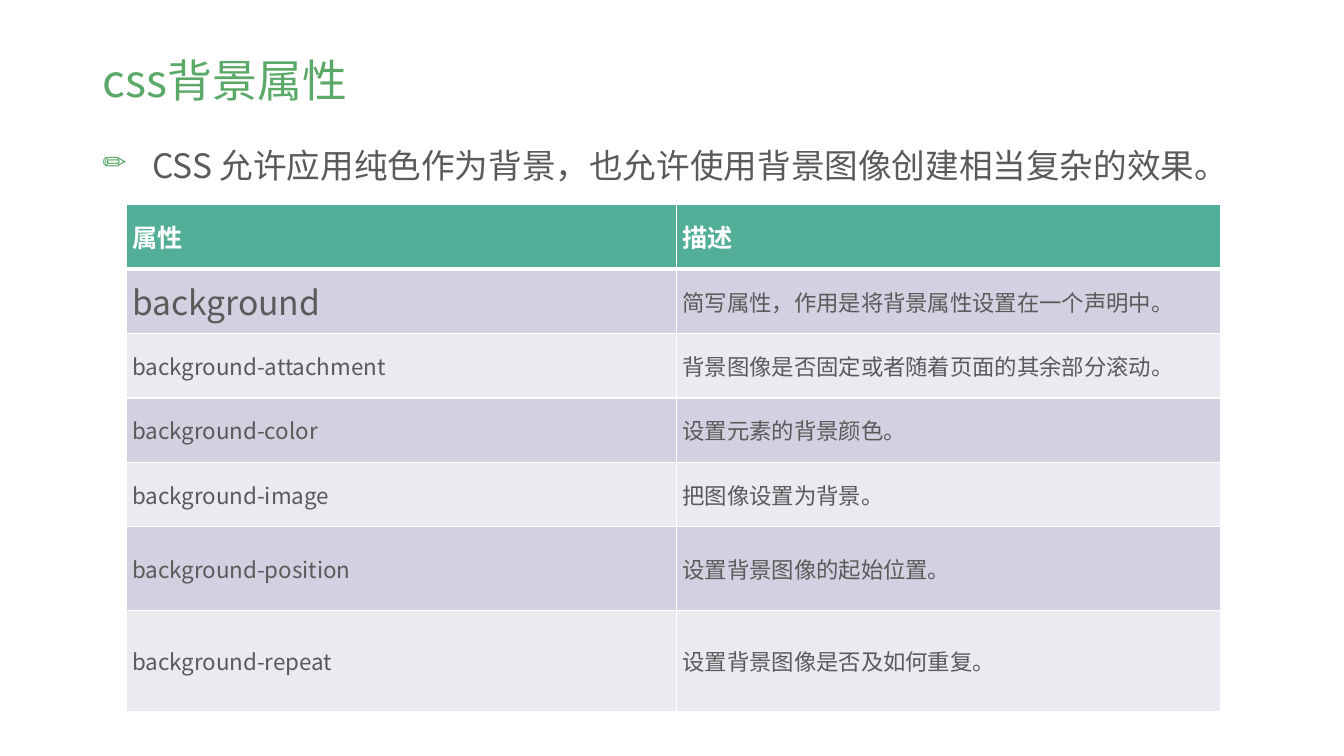
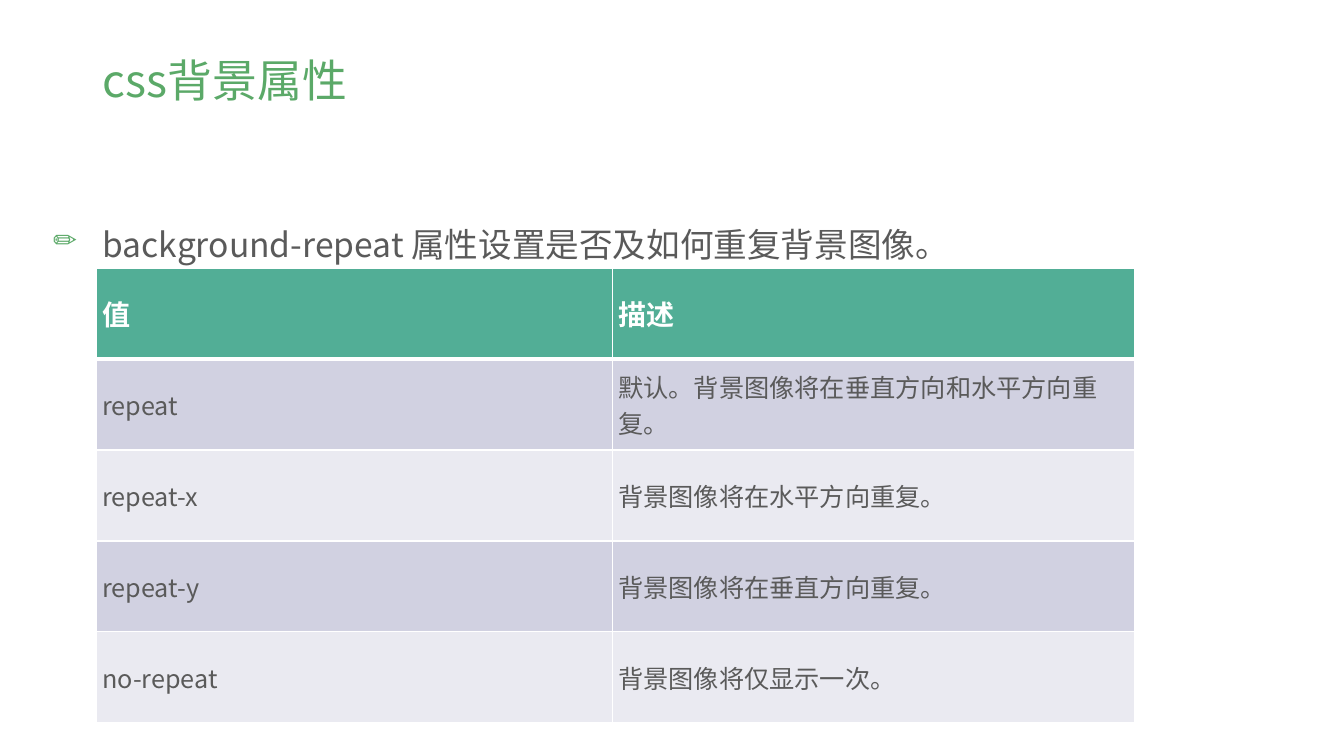
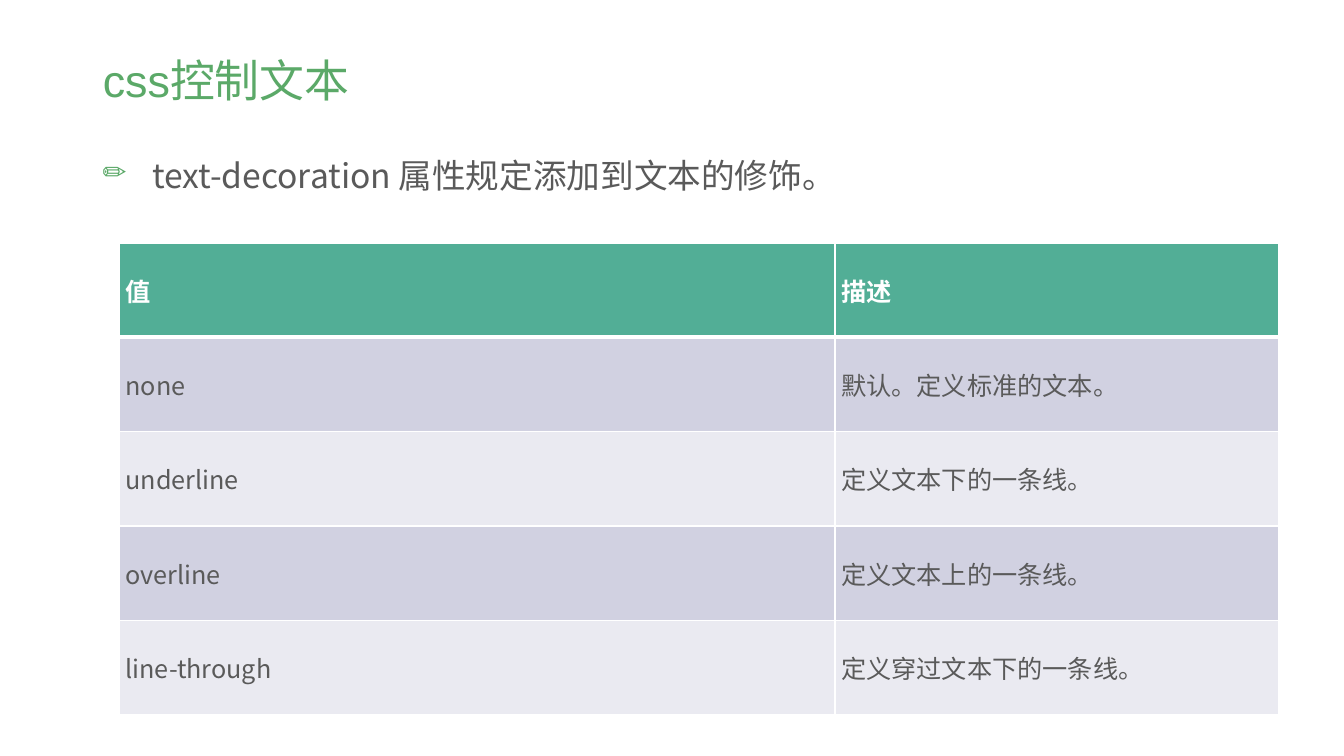
"""Build three slides on CSS background and text properties."""
from dataclasses import dataclass
from typing import Any

from lxml import etree
from pptx import Presentation
from pptx.dml.color import RGBColor
from pptx.enum.text import MSO_ANCHOR, MSO_AUTO_SIZE, PP_ALIGN
from pptx.oxml.ns import qn
from pptx.util import Inches, Pt

LEFT = PP_ALIGN.LEFT
TOP, MIDDLE = MSO_ANCHOR.TOP, MSO_ANCHOR.MIDDLE
NO_FIT = MSO_AUTO_SIZE.NONE
TITLE_ONLY = 5
WIDTH, HEIGHT = Inches(13.33), Inches(7.5)


@dataclass(frozen=True)
class Theme:
    """Colours, fonts and type sizes shared by the slides."""
    green: str = "5BA968"
    ink: str = "5A5A5A"
    white: str = "FFFFFF"
    header: str = "52AE96"
    bands: tuple[str, str] = ("D1D1E1", "EAEAF1")
    font: str = "Noto Sans CJK SC"
    title_size: int = 32
    lead_size: int = 24
    bullet: str = "✏"
    bullet_share: int = 85


@dataclass(frozen=True)
class Box:
    """A place in percent of the slide's width and height."""
    x: float
    y: float
    w: float
    h: float

    def emu(self) -> dict[str, int]:
        """Return the place as shape attributes."""
        return {"left": across(self.x), "top": down(self.y),
                "width": across(self.w), "height": down(self.h)}


@dataclass(frozen=True)
class Grid:
    """A table's corner, column widths and row heights in percent, and its text."""
    x: float
    y: float
    cols: tuple[float, ...]
    rows: tuple[float, ...]
    cells: tuple[tuple[str, str], ...]
    head_size: int = 18
    body_size: int = 18
    first_size: int = 18


@dataclass(frozen=True)
class Page:
    """One slide: title, bulleted lead and table."""
    title: str
    lead: str
    lead_box: Box
    grid: Grid
    title_font: str


THEME = Theme()
TITLE_BOX = Box(6.9, 5.33, 86.25, 11.33)

PAGES = (
    Page("css背景属性", "CSS 允许应用纯色作为背景，也允许使用背景图像创建相当复杂的效果。",
         Box(6.9, 17.47, 86.25, 8),
         Grid(9.38, 27.07, (40.95, 40.5), (8.53,) * 5 + (11.07, 13.33), (
             ("属性", "描述"),
             ("background", "简写属性，作用是将背景属性设置在一个声明中。"),
             ("background-attachment", "背景图像是否固定或者随着页面的其余部分滚动。"),
             ("background-color", "设置元素的背景颜色。"),
             ("background-image", "把图像设置为背景。"),
             ("background-position", "设置背景图像的起始位置。"),
             ("background-repeat", "设置背景图像是否及如何重复。"),
         ), body_size=16, first_size=24), THEME.font),
    Page("css背景属性", "background-repeat 属性设置是否及如何重复背景图像。",
         Box(3.22, 27.87, 92.25, 8),
         Grid(7.16, 35.47, (38.4, 38.85), (12.03,) * 5, (
             ("值", "描述"),
             ("repeat", "默认。背景图像将在垂直方向和水平方向重复。"),
             ("repeat-x", "背景图像将在水平方向重复。"),
             ("repeat-y", "背景图像将在垂直方向重复。"),
             ("no-repeat", "背景图像将仅显示一次。"),
         ), head_size=20), THEME.font),
    Page("css控制文本", "text-decoration 属性规定添加到文本的修饰。",
         Box(6.9, 18.8, 86.25, 8),
         Grid(8.88, 32.13, (53.25, 33), (12.48,) * 5, (
             ("值", "描述"),
             ("none", "默认。定义标准的文本。"),
             ("underline", "定义文本下的一条线。"),
             ("overline", "定义文本上的一条线。"),
             ("line-through", "定义穿过文本下的一条线。"),
         )), "Arial"),
)


def across(share: float) -> int:
    """Turn a percentage of the slide's width into a length."""
    return round(WIDTH * share / 100)


def down(share: float) -> int:
    """Turn a percentage of the slide's height into a length."""
    return round(HEIGHT * share / 100)


def assign(obj: Any, values: dict[str, Any]) -> None:
    """Set each named attribute of an object."""
    for name, value in values.items():
        setattr(obj, name, value)


def write(p: Any, text: str, size: int, color: str,
          bold: bool = False, latin: str = THEME.font) -> None:
    """Add a formatted run to a paragraph."""
    r = p.add_run()
    r.text = text
    assign(r.font, {"size": Pt(size), "bold": bold, "name": latin})
    r.font.color.rgb = RGBColor.from_string(color)
    ea = etree.SubElement(r.font._element, qn("a:ea"))
    ea.set("typeface", THEME.font)


def add_title(s: Any, text: str, latin: str) -> None:
    """Place and format the slide's title."""
    sp = s.shapes.title
    assign(sp, TITLE_BOX.emu())
    tf = sp.text_frame
    assign(tf, {"auto_size": NO_FIT, "word_wrap": True, "vertical_anchor": MIDDLE})
    p = tf.paragraphs[0]
    assign(p, {"alignment": LEFT, "line_spacing": 0.9})
    write(p, text, THEME.title_size, THEME.green, latin=latin)


def add_bullet(p: Any) -> None:
    """Give a paragraph the pencil bullet and its hanging indent."""
    pPr = p._p.get_or_add_pPr()
    indent = Inches(0.49)
    pPr.set("marL", str(indent))
    pPr.set("indent", str(-indent))
    color = etree.SubElement(pPr, qn("a:buClr"))
    etree.SubElement(color, qn("a:srgbClr")).set("val", THEME.green)
    size = etree.SubElement(pPr, qn("a:buSzPct"))
    size.set("val", str(THEME.bullet_share * 1000))
    etree.SubElement(pPr, qn("a:buChar")).set("char", THEME.bullet)


def add_lead(s: Any, text: str, box: Box) -> None:
    """Add the bulleted sentence above the table."""
    tf = s.shapes.add_textbox(**box.emu()).text_frame
    assign(tf, {"word_wrap": True, "auto_size": NO_FIT, "vertical_anchor": TOP})
    p = tf.paragraphs[0]
    add_bullet(p)
    assign(p, {"line_spacing": 1.2, "space_before": Pt(10)})
    write(p, text, THEME.lead_size, THEME.ink)


def add_borders(cell: Any, row: int) -> None:
    """Draw white cell borders, heavier below the header row."""
    tcPr = cell._tc.get_or_add_tcPr()
    widths = {"L": 1, "R": 1, "T": 3 if row == 1 else 1, "B": 3 if row == 0 else 1}
    for side, width in widths.items():
        ln = etree.SubElement(tcPr, qn(f"a:ln{side}"))
        ln.set("w", str(Pt(width)))
        fill = etree.SubElement(ln, qn("a:solidFill"))
        etree.SubElement(fill, qn("a:srgbClr")).set("val", THEME.white)


def add_grid(s: Any, grid: Grid) -> None:
    """Add the table with its header and banded rows."""
    box = Box(grid.x, grid.y, sum(grid.cols), sum(grid.rows))
    table = s.shapes.add_table(len(grid.rows), len(grid.cols), **box.emu()).table
    for column, share in zip(table.columns, grid.cols):
        column.width = across(share)
    for i, (share, texts) in enumerate(zip(grid.rows, grid.cells)):
        table.rows[i].height = down(share)
        head = i == 0
        color = THEME.header if head else THEME.bands[(i - 1) % 2]
        pad = Inches(0.05 if head else 0.06)
        for j, text in enumerate(texts):
            cell = table.cell(i, j)
            assign(cell, {"vertical_anchor": MIDDLE, "margin_left": Inches(0.06),
                          "margin_right": Inches(0.16), "margin_top": pad,
                          "margin_bottom": pad})
            add_borders(cell, i)
            cell.fill.solid()
            cell.fill.fore_color.rgb = RGBColor.from_string(color)
            size = grid.head_size if head else grid.body_size
            if (i, j) == (1, 0):
                size = grid.first_size
            write(cell.text_frame.paragraphs[0], text, size,
                  THEME.white if head else THEME.ink, bold=head)


def main() -> None:
    """Build and save the presentation."""
    prs = Presentation()
    assign(prs, {"slide_width": WIDTH, "slide_height": HEIGHT})
    for page in PAGES:
        s = prs.slides.add_slide(prs.slide_layouts[TITLE_ONLY])
        add_title(s, page.title, page.title_font)
        add_lead(s, page.lead, page.lead_box)
        add_grid(s, page.grid)
    prs.save("out.pptx")


if __name__ == "__main__":
    main()
